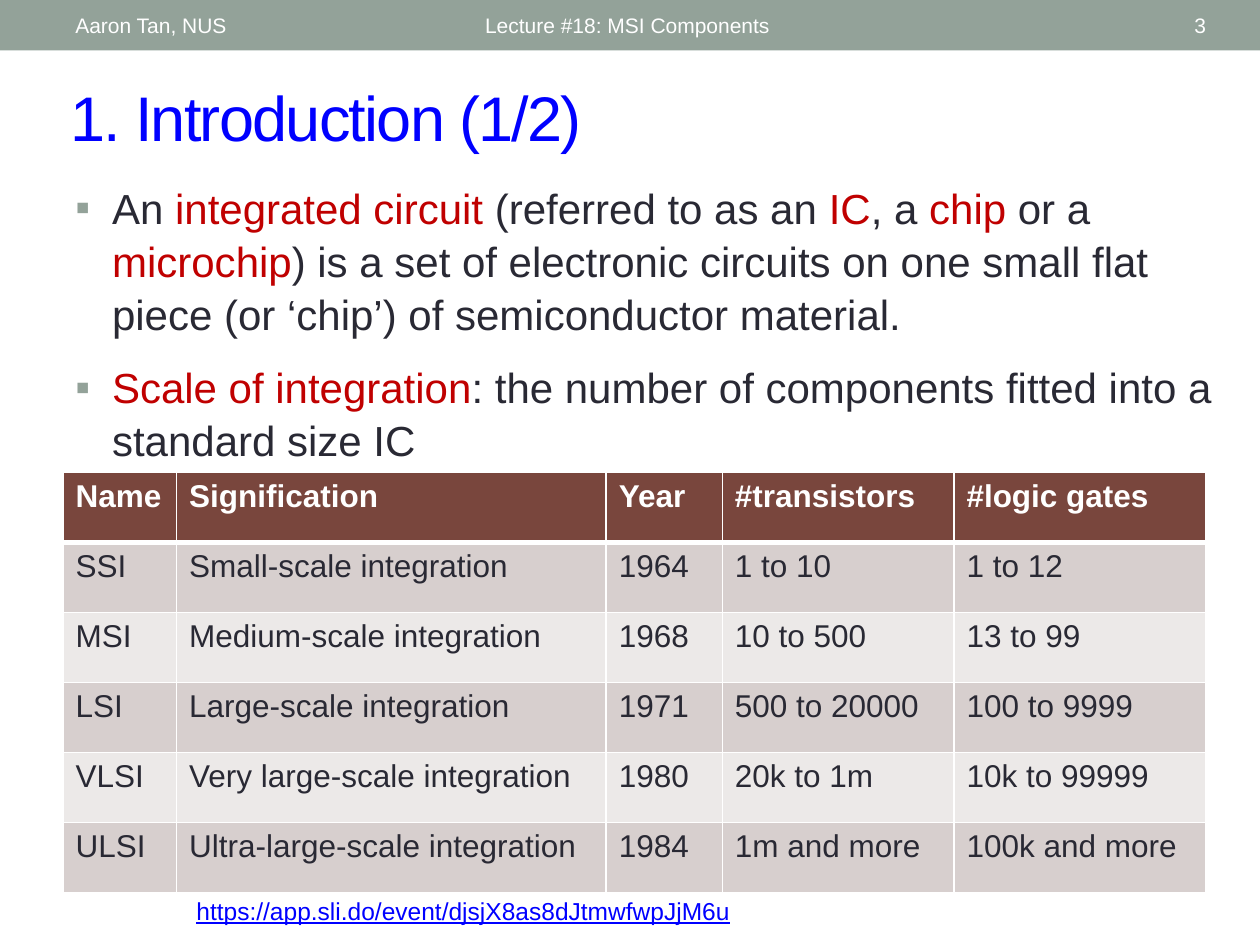
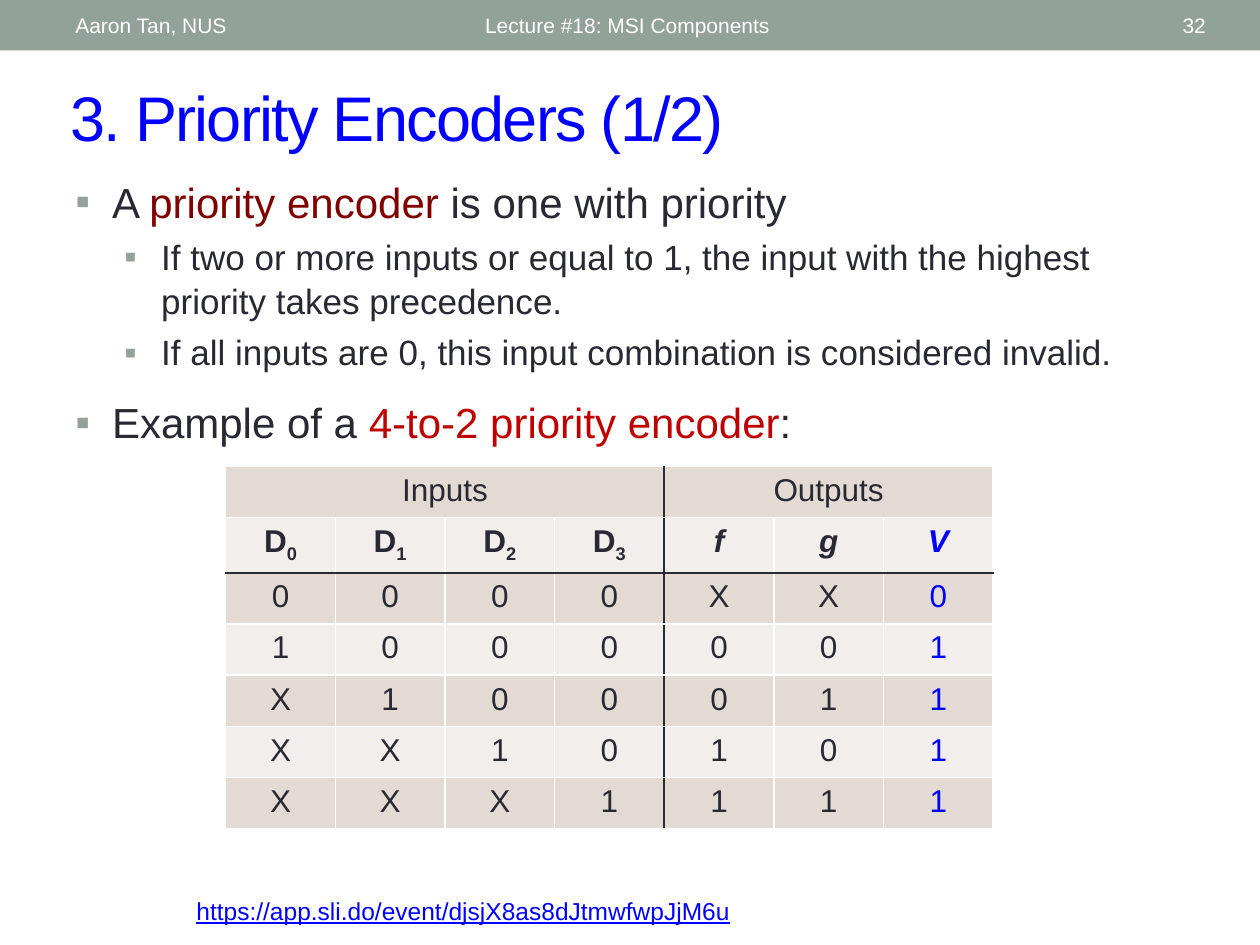
"""Build two lecture slides on MSI components."""
from dataclasses import dataclass
from typing import Optional

import pptx
import pptx.dml.color
import pptx.enum.shapes
import pptx.enum.text
import pptx.oxml
import pptx.oxml.ns
import pptx.slide
import pptx.table
import pptx.text.text
import pptx.util

Cm = pptx.util.Cm
Pt = pptx.util.Pt
ALIGN = pptx.enum.text.PP_ALIGN
ANCHOR = pptx.enum.text.MSO_ANCHOR


@dataclass(frozen=True)
class Theme:
    font: str = "Arial"
    white: str = "FFFFFF"
    band: str = "93A299"
    ink: str = "292934"
    blue: str = "0000FF"
    red: str = "C00000"
    maroon: str = "800000"
    brown: str = "79463D"
    brown_stripes: tuple[str, str] = ("D7CFCE", "ECE9E8")
    sand_stripes: tuple[str, str] = ("E3DBD3", "F1EEEB")
    title_size: int = 36
    body_size: int = 24
    detail_size: int = 20
    table_size: int = 18
    link_size: int = 14
    band_size: int = 12
    body_spacing: float = 1.05


THEME = Theme()


@dataclass(frozen=True)
class Box:
    left: float
    top: float
    width: float
    height: float

    def lengths(self) -> tuple[int, ...]:
        return Cm(self.left), Cm(self.top), Cm(self.width), Cm(self.height)


@dataclass(frozen=True)
class Run:
    text: str
    color: str = THEME.ink
    underline: bool = False
    subscript: bool = False
    tracking: int = 0


@dataclass(frozen=True)
class Item:
    runs: tuple[Run, ...]
    size: int
    align: ALIGN = ALIGN.LEFT
    bold: bool = False
    italic: bool = False
    margin: Optional[float] = None
    space_before: int = 0


@dataclass(frozen=True)
class Edge:
    color: str = THEME.white
    width: int = 1


@dataclass(frozen=True)
class Cell:
    item: Item
    fill: str
    columns: int = 1


@dataclass(frozen=True)
class Grid:
    left: float
    top: float
    column_widths: tuple[float, ...]
    row_height: float
    rows: tuple[tuple[Cell, ...], ...]
    header_rows: int
    header_edge: Edge
    divider_column: int = 0


BULLET_HANG = 0.74
DETAIL_MARGIN = 1.73


def rgb(color: str) -> pptx.dml.color.RGBColor:
    return pptx.dml.color.RGBColor.from_string(color)


def parse_element(tag: str, content: str, attributes: str = ""):
    namespace = pptx.oxml.ns.nsdecls("a")
    return pptx.oxml.parse_xml(f"<a:{tag} {namespace} {attributes}>{content}</a:{tag}>")


def solid_fill(color: str) -> str:
    return f'<a:solidFill><a:srgbClr val="{color}"/></a:solidFill>'


def add_bullet(paragraph: pptx.text.text._Paragraph, margin: float) -> None:
    properties = paragraph._p.get_or_add_pPr()
    properties.set("marL", str(Cm(margin)))
    properties.set("indent", str(-Cm(BULLET_HANG)))
    properties.append(parse_element("buClr", f'<a:srgbClr val="{THEME.band}"/>'))
    properties.append(parse_element("buFont", "", f'typeface="{THEME.font}"'))
    properties.append(parse_element("buChar", "", 'char="▪"'))


def write_item(paragraph: pptx.text.text._Paragraph, item: Item) -> None:
    if item.margin is not None:
        add_bullet(paragraph, item.margin)
        paragraph.line_spacing = THEME.body_spacing
    if item.space_before:
        paragraph.space_before = Pt(item.space_before)
    paragraph.alignment = item.align
    paragraph.font.name = THEME.font
    paragraph.font.size = Pt(item.size)
    paragraph.font.bold = item.bold
    paragraph.font.italic = item.italic
    for part in item.runs:
        run = paragraph.add_run()
        run.text = part.text
        run.font.color.rgb = rgb(part.color)
        if part.underline:
            run.font.underline = True
        if part.subscript:
            run._r.get_or_add_rPr().set("baseline", "-25000")
        if part.tracking:
            run._r.get_or_add_rPr().set("spc", str(part.tracking))


def add_text(slide: pptx.slide.Slide, box: Box, *items: Item,
             anchor: ANCHOR = ANCHOR.MIDDLE) -> None:
    frame = slide.shapes.add_textbox(*box.lengths()).text_frame
    frame.word_wrap = True
    frame.vertical_anchor = anchor
    for index, item in enumerate(items):
        write_item(frame.add_paragraph() if index else frame.paragraphs[0], item)


def add_frame(slide: pptx.slide.Slide, title: str, number: int) -> None:
    band = slide.shapes.add_shape(pptx.enum.shapes.MSO_SHAPE.RECTANGLE,
                                  *Box(0, 0, 25.4, 1.02).lengths())
    band.shadow.inherit = False
    band.fill.solid()
    band.fill.fore_color.rgb = rgb(THEME.band)
    band.line.fill.background()
    for left, width, text, align in (
        (1.27, 8.05, "Aaron Tan, NUS", ALIGN.LEFT),
        (9.53, 11.43, "Lecture #18: MSI Components", ALIGN.LEFT),
        (22.15, 2.41, str(number), ALIGN.RIGHT),
    ):
        add_text(slide, Box(left, 0.05, width, 0.91),
                 Item((Run(text, THEME.white),), THEME.band_size, align))
    add_text(slide, Box(1.17, 1.45, 23.04, 1.78),
             Item((Run(title, THEME.blue, tracking=-100),), THEME.title_size))
    link = Run("https://app.sli.do/event/djsjX8as8dJtmwfwpJjM6u", THEME.blue, underline=True)
    add_text(slide, Box(3.71, 17.93, 20.42, 0.86),
             Item((link,), THEME.link_size), anchor=ANCHOR.TOP)


def set_edges(cell: pptx.table._Cell, **edges: Edge) -> None:
    properties = cell._tc.get_or_add_tcPr()
    for index, (tag, edge) in enumerate(edges.items()):
        line = parse_element(tag, solid_fill(edge.color), f'w="{Pt(edge.width)}"')
        properties.insert(index, line)


def add_grid(slide: pptx.slide.Slide, grid: Grid) -> None:
    row_count, column_count = len(grid.rows), len(grid.column_widths)
    box = Box(grid.left, grid.top, sum(grid.column_widths), grid.row_height * row_count)
    table = slide.shapes.add_table(row_count, column_count, *box.lengths()).table
    table.first_row = table.horz_banding = False
    for column, width in zip(table.columns, grid.column_widths):
        column.width = Cm(width)
    plain, divider = Edge(), Edge(THEME.ink)

    def vertical(position: int) -> Edge:
        return divider if grid.divider_column and position == grid.divider_column else plain

    def horizontal(position: int) -> Edge:
        return grid.header_edge if position == grid.header_rows else plain

    for row_index, cells in enumerate(grid.rows):
        table.rows[row_index].height = Cm(grid.row_height)
        start = 0
        for content in cells:
            end = start + content.columns
            cell = table.cell(row_index, start)
            if content.columns > 1:
                cell.merge(table.cell(row_index, end - 1))
            cell.fill.solid()
            cell.fill.fore_color.rgb = rgb(content.fill)
            set_edges(cell, lnL=vertical(start), lnR=vertical(end),
                      lnT=horizontal(row_index), lnB=horizontal(row_index + 1))
            write_item(cell.text_frame.paragraphs[0], content.item)
            start = end


def bullet(*runs: Run, space_before: int = 0) -> Item:
    return Item(runs, THEME.body_size, margin=BULLET_HANG, space_before=space_before)


def detail(text: str) -> Item:
    return Item((Run(text),), THEME.detail_size, margin=DETAIL_MARGIN, space_before=4)


def build_introduction(slide: pptx.slide.Slide) -> None:
    add_frame(slide, "1. Introduction (1/2)", 3)
    add_text(
        slide, Box(1.27, 3.5, 23.83, 6.02),
        bullet(Run("An "), Run("integrated circuit ", THEME.red),
               Run("(referred to as an "), Run("IC", THEME.red), Run(", a "),
               Run("chip", THEME.red), Run(" or a "), Run("microchip", THEME.red),
               Run(") is a set of electronic circuits on one small flat piece "
                   "(or ‘chip’) of semiconductor material.")),
        bullet(Run("Scale of integration", THEME.red),
               Run(": the number of components fitted into a standard size IC"),
               space_before=12),
        anchor=ANCHOR.TOP)
    headings = ("Name", "Signification", "Year", "#transistors", "#logic gates")
    scales = (
        ("SSI", "Small-scale integration", "1964", "1 to 10", "1 to 12"),
        ("MSI", "Medium-scale integration", "1968", "10 to 500", "13 to 99"),
        ("LSI", "Large-scale integration", "1971", "500 to 20000", "100 to 9999"),
        ("VLSI", "Very large-scale integration", "1980", "20k to 1m", "10k to 99999"),
        ("ULSI", "Ultra-large-scale integration", "1984", "1m and more", "100k and more"),
    )
    header = tuple(Cell(Item((Run(text, THEME.white),), THEME.table_size, bold=True),
                        THEME.brown) for text in headings)
    body = tuple(
        tuple(Cell(Item((Run(text),), THEME.table_size), THEME.brown_stripes[index % 2])
              for text in scale)
        for index, scale in enumerate(scales))
    add_grid(slide, Grid(1.27, 9.53, (2.29, 8.66, 2.34, 4.67, 5.08), 1.41,
                         (header, *body), 1, Edge(width=3)))


def build_priority_encoders(slide: pptx.slide.Slide) -> None:
    add_frame(slide, "3. Priority Encoders (1/2)", 32)
    add_text(
        slide, Box(1.27, 3.38, 22.23, 5.87),
        bullet(Run("A "), Run("priority encoder ", THEME.maroon),
               Run("is one with priority")),
        detail("If two or more inputs or equal to 1, the input with the highest "
               "priority takes precedence."),
        detail("If all inputs are 0, this input combination is considered invalid."),
        bullet(Run("Example of a "), Run("4-to-2 priority encoder", THEME.red), Run(":"),
               space_before=12),
        anchor=ANCHOR.TOP)

    def centred(*runs: Run, bold: bool = False, italic: bool = False) -> Item:
        return Item(runs, THEME.table_size, ALIGN.CENTER, bold, italic)

    odd, even = THEME.sand_stripes
    groups = (Cell(centred(Run("Inputs")), odd, 4), Cell(centred(Run("Outputs")), odd, 3))
    column_colors = (THEME.ink,) * 6 + (THEME.blue,)
    inputs = tuple(Cell(centred(Run("D"), Run(digit, subscript=True), bold=True), even)
                   for digit in "0123")
    outputs = tuple(Cell(centred(Run(name, color), bold=True, italic=True), even)
                    for name, color in zip("fgV", column_colors[4:]))
    truth_rows = ("0000XX0", "1000001", "X100011", "XX10101", "XXX1111")
    body = tuple(
        tuple(Cell(centred(Run(value, color)), THEME.sand_stripes[index % 2])
              for value, color in zip(values, column_colors))
        for index, values in enumerate(truth_rows))
    add_grid(slide, Grid(4.55, 9.4, (2.21,) * 7, 1.03,
                         (groups, inputs + outputs, *body), 2, Edge(THEME.ink), 4))


def main() -> None:
    presentation = pptx.Presentation()
    presentation.slide_width, presentation.slide_height = Cm(25.4), Cm(19.05)
    for build in (build_introduction, build_priority_encoders):
        build(presentation.slides.add_slide(presentation.slide_layouts[6]))
    presentation.save("out.pptx")


if __name__ == "__main__":
    main()
